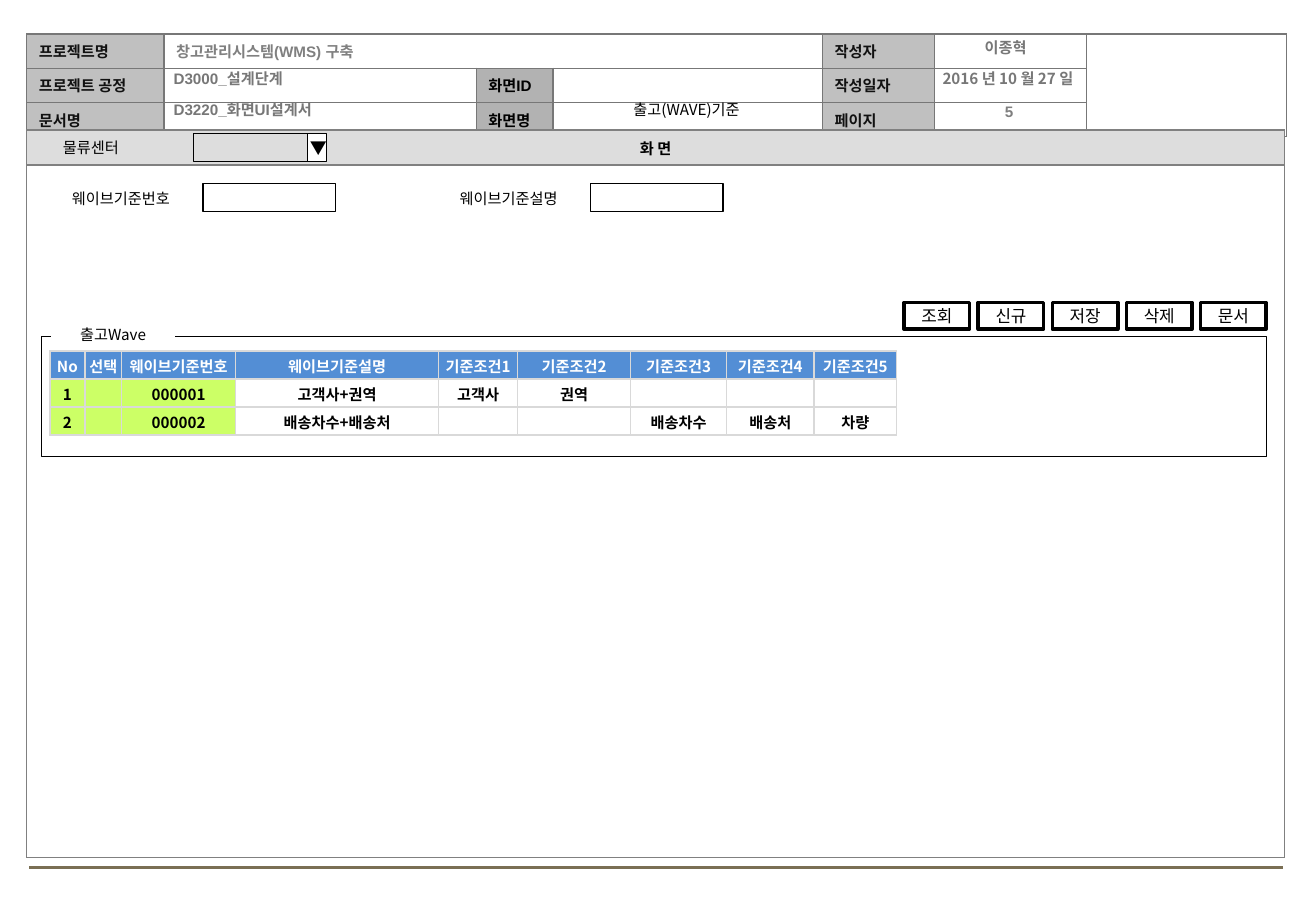
from lxml.etree import SubElement
from pptx import Presentation
from pptx.dml.color import RGBColor as RGB
from pptx.enum.shapes import MSO_CONNECTOR as CONNECTOR, MSO_SHAPE as SHAPE
from pptx.enum.text import MSO_ANCHOR as ANCHOR, MSO_AUTO_SIZE as AUTO, PP_ALIGN as ALIGN
from pptx.oxml.ns import qn
from pptx.util import Inches, Pt


class Theme:
    latin, korean = "Arial", "Noto Sans CJK KR"
    body, button = 9, 10
    black, white = "000000", "FFFFFF"
    ink, value, project, page = "111111", "777777", "808080", "7F7F7F"
    label, screen_label, bar = "C0C0C0", "B2B2B2", "DDDDDD"
    head, key, grid = "538ED5", "CCFF66", "D9D9D9"
    rule = "7A6F54"


INFO_COLS = [1.13, 2.57, 0.63, 2.22, 0.92, 1.25, 1.65]
INFO_ROWS = [
    ["프로젝트명", "창고관리시스템(WMS) 구축", "", "", "작성자", "", ""],
    ["프로젝트 공정", "", "화면ID", "", "작성일자", "", ""],
    ["문서명", "", "화면명", "", "페이지", "", ""],
]
INFO_FILLS = {0: Theme.label, 2: Theme.screen_label, 4: Theme.label}
INFO_INKS = {0: Theme.ink, 1: Theme.project, 2: Theme.black, 4: Theme.ink}

WAVE_COLS = [0.29, 0.3, 0.94, 1.67, 0.65, 0.93, 0.79, 0.72, 0.68]
WAVE_ROWS = [
    ["No", "선택", "웨이브기준번호", "웨이브기준설명"] + [f"기준조건{n}" for n in range(1, 6)],
    ["1", "", "000001", "고객사+권역", "고객사", "권역", "", "", ""],
    ["2", "", "000002", "배송차수+배송처", "", "", "배송차수", "배송처", "차량"],
]
KEY_COLS = 3

DOCUMENT_VALUES = [
    ("D3000_설계단계", 1.33, 0.52, 5.42),
    ("D3220_화면UI설계서", 1.33, 0.78, 5.41),
]
CENTRED_VALUES = [
    ("5", 7.68, 0.79, 1.25, Theme.latin, Theme.page, True),
    ("출고(WAVE)기준", 4.56, 0.78, 2.18, Theme.korean, Theme.black, False),
    ("2016 년 10 월 27 일", 7.51, 0.52, 1.57, Theme.korean, Theme.value, True),
    ("이종혁", 7.49, 0.27, 1.57, Theme.korean, Theme.value, True),
]
SEARCH_FIELDS = [("웨이브기준번호", 0.38), ("웨이브기준설명", 3.57)]
SEARCH_TOP, FIELD_OFFSET = 1.51, 1.29
FIELD_SIZE = (1.09, 0.23)
BUTTONS = ["조회", "신규", "저장", "삭제", "문서"]
BUTTON_LEFT, BUTTON_TOP, BUTTON_PITCH = 7.44, 2.49, 0.61
BUTTON_SIZE = (0.54, 0.22)

deck = Presentation()
deck.slide_width, deck.slide_height = Inches(10.83), Inches(7.5)
slide = deck.slides.add_slide(deck.slide_layouts[6])
shapes = slide.shapes


def box(left, top, width, height):
    return [Inches(v) for v in (left, top, width, height)]


def write(frame, text, colour, face=Theme.korean, size=Theme.body, bold=False, align=ALIGN.CENTER):
    line = frame.paragraphs[0]
    line.text = text
    line.alignment = align
    font = line.font
    font.size, font.bold, font.name = Pt(size), bold, face
    font.color.rgb = RGB.from_string(colour)
    SubElement(line._p.pPr.find(qn("a:defRPr")), qn("a:ea"), typeface=Theme.korean)
    if not text:
        SubElement(line._p, qn("a:endParaRPr"), sz=str(size * 100))


def add_text(text, left, top, width, colour, **style):
    frame = shapes.add_textbox(*box(left, top, width, 0.25)).text_frame
    frame.word_wrap = True
    frame.auto_size = AUTO.SHAPE_TO_FIT_TEXT
    write(frame, text, colour, **style)


def add_rect(left, top, width, height, fill=None, weight=0.75):
    rect = shapes.add_shape(SHAPE.RECTANGLE, *box(left, top, width, height))
    rect.shadow.inherit = False
    if fill:
        rect.fill.solid()
        rect.fill.fore_color.rgb = RGB.from_string(fill)
    else:
        rect.fill.background()
    if weight:
        rect.line.width = Pt(weight)
        rect.line.color.rgb = RGB.from_string(Theme.black)
    else:
        rect.line.fill.background()
    return rect


def add_button(text, left, top, size, weight, align=ALIGN.CENTER):
    frame = add_rect(left, top, *size, Theme.white, weight).text_frame
    frame.word_wrap = False
    frame.vertical_anchor = ANCHOR.MIDDLE
    frame.margin_left = frame.margin_right = Inches(0.02)
    frame.margin_top = frame.margin_bottom = Inches(0.04)
    write(frame, text, Theme.black, size=Theme.button, align=align)


def add_grid(left, top, cols, heights, rows, border, margins, style):
    table = shapes.add_table(len(rows), len(cols), *box(left, top, sum(cols), sum(heights))).table
    table.first_row = table.horz_banding = False
    for column, width in zip(table.columns, cols):
        column.width = Inches(width)
    for r, texts in enumerate(rows):
        table.rows[r].height = Inches(heights[r])
        for c, text in enumerate(texts):
            cell = table.cell(r, c)
            fill, colour, face, align = style(r, c)
            cell.vertical_anchor = ANCHOR.MIDDLE
            cell.margin_left, cell.margin_top, cell.margin_right, cell.margin_bottom = map(Inches, margins)
            write(cell.text_frame, text, colour, face=face, bold=True, align=align)
            for side in ("lnL", "lnR", "lnT", "lnB"):
                edge = SubElement(cell._tc.get_or_add_tcPr(), qn(f"a:{side}"), w=str(Pt(1)))
                SubElement(SubElement(edge, qn("a:solidFill")), qn("a:srgbClr"), val=border)
            if fill:
                cell.fill.solid()
                cell.fill.fore_color.rgb = RGB.from_string(fill)
            else:
                cell.fill.background()
    return table


def info_style(r, c):
    fill = None if r == 0 and c == 2 else INFO_FILLS.get(c)
    return fill, INFO_INKS.get(c, Theme.ink), Theme.latin, ALIGN.LEFT


def screen_style(r, c):
    return (None if r else Theme.bar), Theme.black, Theme.latin, ALIGN.CENTER


def wave_style(r, c):
    fill = Theme.head if r == 0 else Theme.key if c < KEY_COLS else None
    return fill, (Theme.black if r else Theme.white), Theme.korean, ALIGN.CENTER


footer = shapes.add_connector(CONNECTOR.STRAIGHT, Inches(0.24), Inches(7.14), Inches(10.56), Inches(7.14))
footer.line.width = Pt(1.75)
footer.line.color.rgb = RGB.from_string(Theme.rule)
SubElement(footer._element.spPr, qn("a:effectLst"))

info = add_grid(0.22, 0.28, INFO_COLS, [0.25] * 3, INFO_ROWS, Theme.value, (0.1, 0.05, 0.1, 0.05), info_style)
info.cell(0, 1).merge(info.cell(0, 3))
info.cell(0, 6).merge(info.cell(2, 6))
for text, left, top, width in DOCUMENT_VALUES:
    add_text(text, left, top, width, Theme.value, face=Theme.latin, bold=True, align=ALIGN.LEFT)

add_grid(0.22, 1.07, [10.35], [0.29, 5.7], [["화 면"], [""]], Theme.project, (0.02, 0, 0.02, 0), screen_style)
for text, left, top, width, face, colour, bold in CENTRED_VALUES:
    add_text(text, left, top, width, colour, face=face, bold=bold)

add_grid(0.41, 2.89, WAVE_COLS, [0.23] * 3, WAVE_ROWS, Theme.grid, (0.01, 0.01, 0.01, 0), wave_style)
add_rect(0.34, 2.77, 10.08, 0.99)
caption = add_rect(0.42, 2.63, 1.02, 0.25, Theme.white, None).text_frame
caption.vertical_anchor = ANCHOR.TOP
caption.auto_size = AUTO.SHAPE_TO_FIT_TEXT
write(caption, "출고Wave", Theme.black)

for n, text in enumerate(BUTTONS):
    add_button(text, BUTTON_LEFT + n * BUTTON_PITCH, BUTTON_TOP, BUTTON_SIZE, 2)

add_text("물류센터", 0.42, 1.09, 1.17, Theme.black, align=ALIGN.LEFT)
add_rect(1.59, 1.1, *FIELD_SIZE)
add_button("▼", 2.53, 1.1, (0.16, 0.23), 0.75, ALIGN.LEFT)
for text, left in SEARCH_FIELDS:
    add_text(text, left, SEARCH_TOP, 1.23, Theme.black)
    add_rect(left + FIELD_OFFSET, SEARCH_TOP, *FIELD_SIZE, Theme.white)

deck.save("out.pptx")
